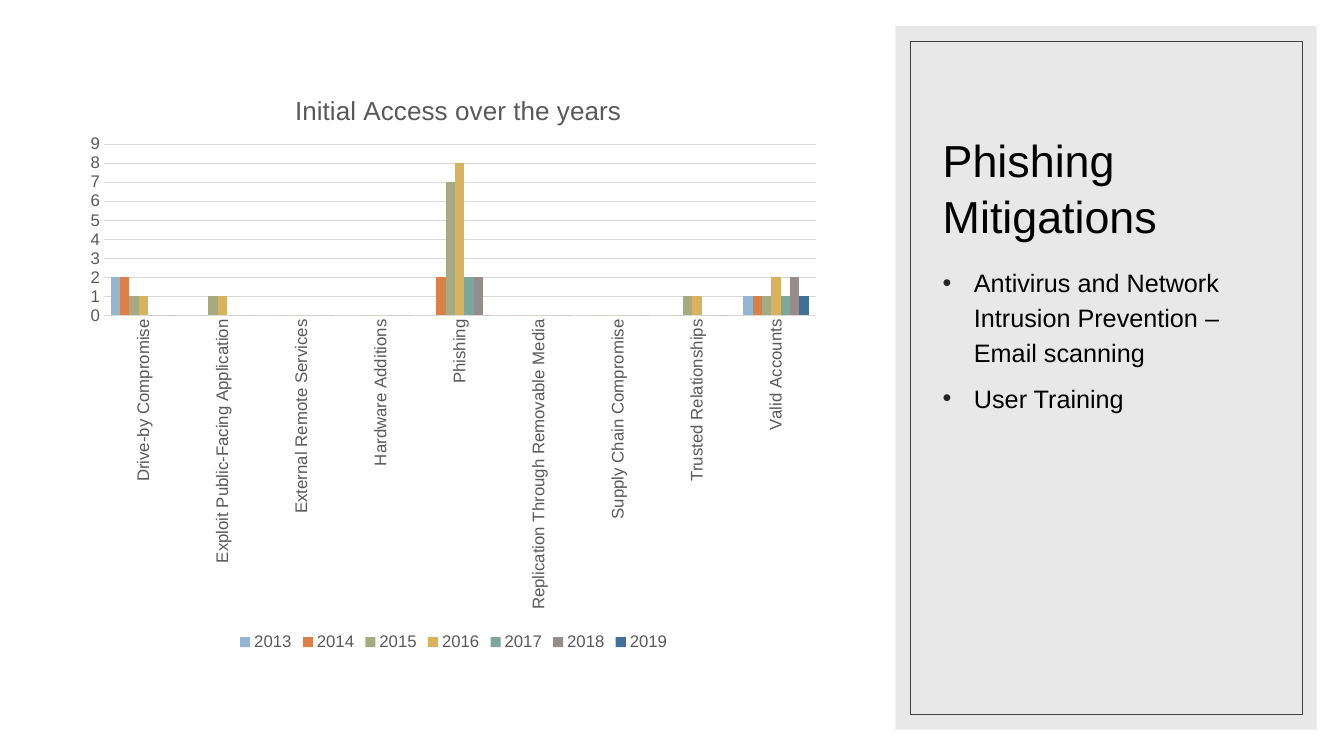
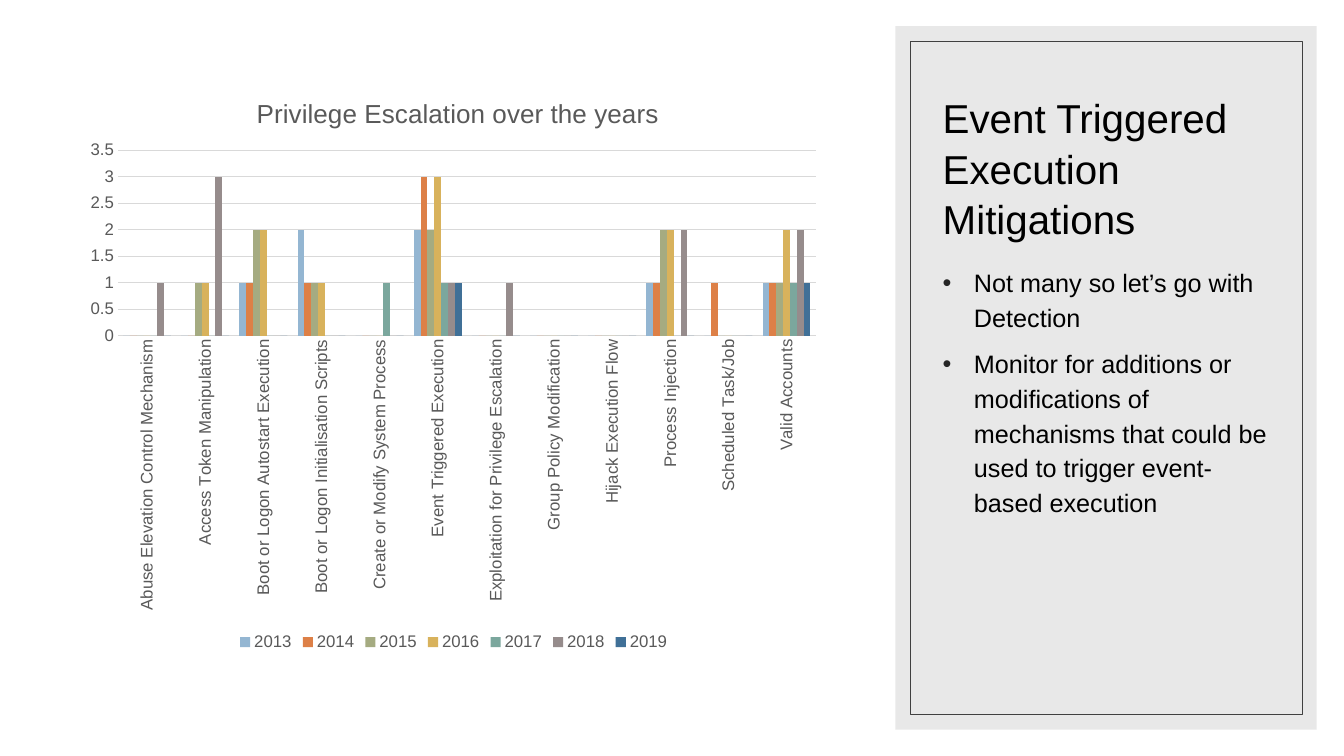
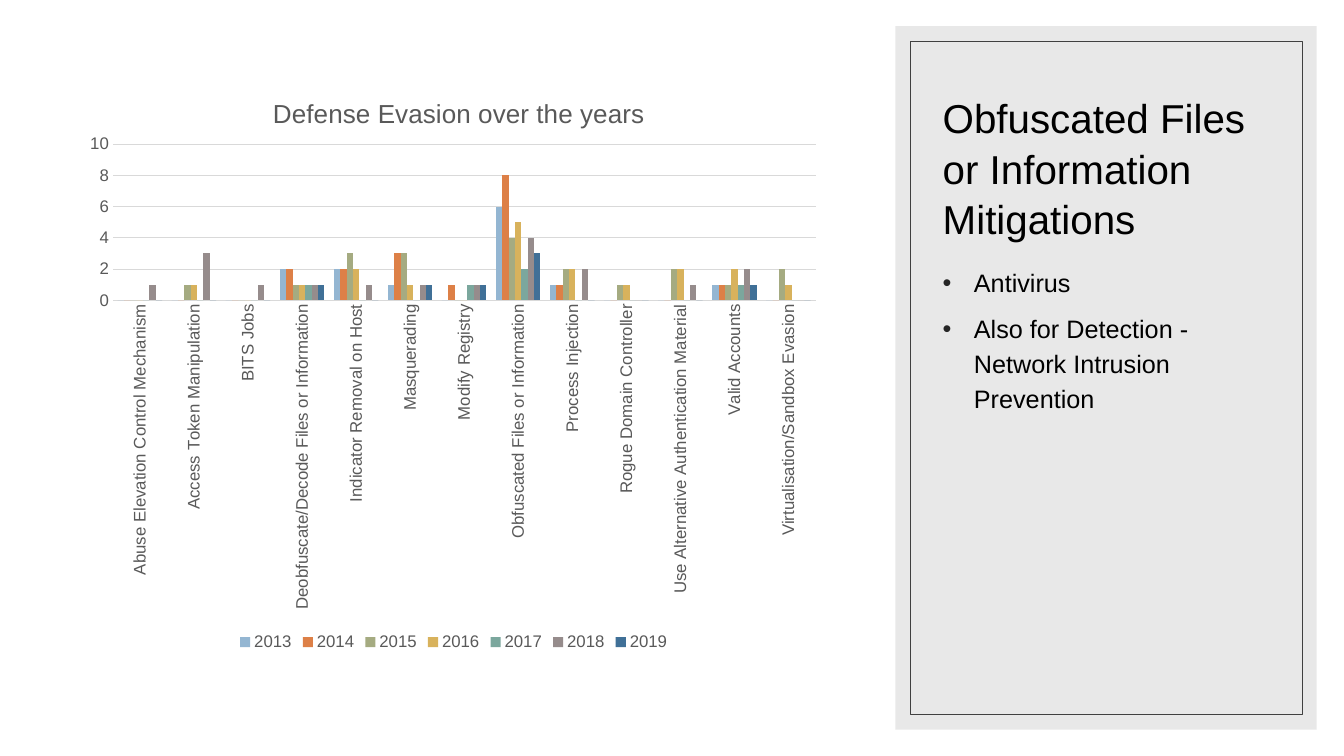
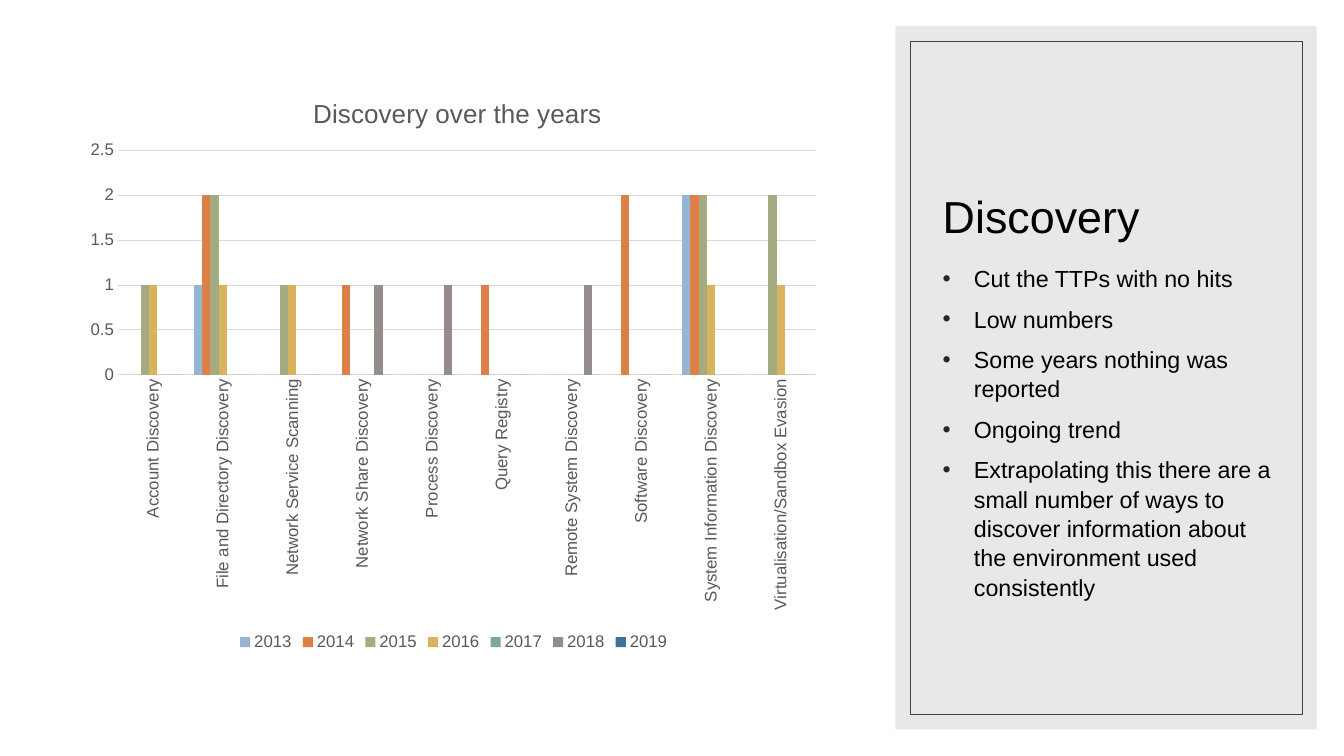
"""Build four slides pairing attack technique charts with a mitigation panel."""
from lxml import etree
from pptx import Presentation
from pptx import util as u
from pptx.chart import data
from pptx.dml.color import RGBColor
from pptx.enum import chart as ch, shapes, text
from pptx.oxml.ns import qn

PX = 9144
FONT = "Arial"
COLOURS = {"ink": "000000", "label": "595959", "panel": "D9D9D9", "frame": "404040",
           "grid": "D9D9D9", "bullet": "262626"}
YEARS = {"2013": "94B6D2", "2014": "DD8047", "2015": "A5AB81", "2016": "D8B25C",
         "2017": "7BA79D", "2018": "968C8C", "2019": "407097"}
PANEL = (888, 26, 418, 698)
FRAME = (903, 41, 389, 668)
TITLE = (925, 66, 346, 180)
BODY = (925, 256, 346, 394)
CHART = (75, 67, 750, 583)
PLOT_RIGHT = 809
LARGE = {"title_size": 32}
SMALL = {"title_size": 28.8}
ROOMY = {"body_size": 18, "spacing": 1.15}
TIGHT = {"body_size": 16.6, "spacing": 1.05}

NONE = "0000000"
TECHNIQUES = {
    "Abuse Elevation Control Mechanism": "0000010",
    "Access Token Manipulation": "0011030",
    "Account Discovery": "0011000",
    "BITS Jobs": "0000010",
    "Boot or Logon Autostart Execution": "1122000",
    "Boot or Logon Initialisation Scripts": "2111000",
    "Create or Modify System Process": "0000100",
    "Deobfuscate/Decode Files or Information": "2211111",
    "Drive-by Compromise": "2211000",
    "Event Triggered Execution": "2323111",
    "Exploit Public-Facing Application": "0011000",
    "Exploitation for Privilege Escalation": "0000010",
    "File and Directory Discovery": "1221000",
    "Indicator Removal on Host": "2232010",
    "Masquerading": "1331011",
    "Modify Registry": "0100111",
    "Network Service Scanning": "0011000",
    "Network Share Discovery": "0100010",
    "Obfuscated Files or Information": "6845243",
    "Phishing": "0278220",
    "Process Discovery": "0000010",
    "Process Injection": "1122020",
    "Query Registry": "0100000",
    "Remote System Discovery": "0000010",
    "Rogue Domain Controller": "0011000",
    "Scheduled Task/Job": "0100000",
    "Software Discovery": "0200000",
    "System Information Discovery": "2221000",
    "Trusted Relationships": "0011000",
    "Use Alternative Authentication Material": "0022010",
    "Valid Accounts": "1112121",
    "Virtualisation/Sandbox Evasion": "0021000",
}

SLIDES = [
    {"title": "Phishing Mitigations", **LARGE, **ROOMY,
     "points": ["Antivirus and Network Intrusion Prevention – Email scanning", "User Training"],
     "heading": "Initial Access over the years", "heading_at": (288, 88),
     "plot": (103, 143, 170), "scale": (9, 1),
     "techniques": ["Drive-by Compromise", "Exploit Public-Facing Application",
                    "External Remote Services", "Hardware Additions", "Phishing",
                    "Replication Through Removable Media", "Supply Chain Compromise",
                    "Trusted Relationships", "Valid Accounts"]},
    {"title": "Event Triggered Execution Mitigations", **SMALL, **ROOMY,
     "points": ["Not many so let’s go with Detection",
                "Monitor for additions or modifications of mechanisms that could be used to "
                "trigger event-based execution"],
     "heading": "Privilege Escalation over the years", "heading_at": (250, 91),
     "plot": (117, 149, 184), "scale": (3.5, 0.5),
     "techniques": ["Abuse Elevation Control Mechanism", "Access Token Manipulation",
                    "Boot or Logon Autostart Execution", "Boot or Logon Initialisation Scripts",
                    "Create or Modify System Process", "Event Triggered Execution",
                    "Exploitation for Privilege Escalation", "Group Policy Modification",
                    "Hijack Execution Flow", "Process Injection", "Scheduled Task/Job",
                    "Valid Accounts"]},
    {"title": "Obfuscated Files or Information Mitigations", **SMALL, **ROOMY,
     "points": ["Antivirus", "Also for Detection - Network Intrusion Prevention"],
     "heading": "Defense Evasion over the years", "heading_at": (266, 91),
     "plot": (112, 143, 155), "scale": (10, 2),
     "techniques": ["Abuse Elevation Control Mechanism", "Access Token Manipulation",
                    "BITS Jobs", "Deobfuscate/Decode Files or Information",
                    "Indicator Removal on Host", "Masquerading", "Modify Registry",
                    "Obfuscated Files or Information", "Process Injection",
                    "Rogue Domain Controller", "Use Alternative Authentication Material",
                    "Valid Accounts", "Virtualisation/Sandbox Evasion"]},
    {"title": "Discovery", **LARGE, **TIGHT,
     "points": ["Cut the TTPs with no hits", "Low numbers", "Some years nothing was reported",
                "Ongoing trend",
                "Extrapolating this there are a small number of ways to discover information "
                "about the environment used consistently"],
     "heading": "Discovery over the years", "heading_at": (306, 91),
     "plot": (117, 149, 223), "scale": (2.5, 0.5),
     "techniques": ["Account Discovery", "File and Directory Discovery",
                    "Network Service Scanning", "Network Share Discovery", "Process Discovery",
                    "Query Registry", "Remote System Discovery", "Software Discovery",
                    "System Information Discovery", "Virtualisation/Sandbox Evasion"]},
]


def rgb(name):
    return RGBColor.from_string(COLOURS.get(name, name))


def emu(box):
    return [length * PX for length in box]


def style(font, size, colour):
    font.name, font.size, font.bold = FONT, u.Pt(size), False
    font.color.rgb = rgb(colour)


def write(frame, lines, size, colour="ink", spacing=1.0, bullet=None, before=0):
    for index, line in enumerate(lines):
        para = frame.add_paragraph() if index else frame.paragraphs[0]
        props = para._p.get_or_add_pPr()
        if bullet:
            props.set("marL", str(31 * PX))
            props.set("indent", str(-31 * PX))
            tint = etree.SubElement(props, qn("a:buClr"))
            etree.SubElement(tint, qn("a:srgbClr"), val=COLOURS["bullet"])
            etree.SubElement(props, qn("a:buFont"), typeface=FONT)
            etree.SubElement(props, qn("a:buChar"), char=bullet)
        para.alignment = text.PP_ALIGN.LEFT
        para.line_spacing = spacing
        para.space_before = u.Pt(before if index else 0)
        run = para.add_run()
        run.text = line
        style(run.font, size, colour)


def fix_layout(parent, position, x, y, size=None):
    for old in parent.xpath("c:layout"):
        parent.remove(old)
    layout = etree.Element(qn("c:layout"))
    manual = etree.SubElement(layout, qn("c:manualLayout"))
    left, top, width, height = CHART
    values = {"xMode": "edge", "yMode": "edge",
              "x": round((x - left) / width, 4), "y": round((y - top) / height, 4)}
    if size:
        values = {"layoutTarget": "inner", **values,
                  "w": round(size[0] / width, 4), "h": round(size[1] / height, 4)}
    for tag, value in values.items():
        etree.SubElement(manual, qn("c:" + tag), val=str(value))
    parent.insert(position, layout)


def add_panel(slide, layout):
    panel = slide.shapes.add_shape(shapes.MSO_SHAPE.RECTANGLE, *emu(PANEL))
    panel.fill.solid()
    panel.fill.fore_color.rgb = rgb("panel")
    tint = panel.element.xpath("p:spPr/a:solidFill/a:srgbClr")[0]
    etree.SubElement(tint, qn("a:alpha"), val="60000")
    panel.line.fill.background()
    frame = slide.shapes.add_shape(shapes.MSO_SHAPE.RECTANGLE, *emu(FRAME))
    frame.fill.background()
    frame.line.color.rgb = rgb("frame")
    frame.line.width = u.Pt(0.5)
    first = layout.shapes[0].element
    for number, part in enumerate((panel, frame), 101):
        part.shadow.inherit = False
        part.element.xpath("p:nvSpPr/p:cNvPr")[0].set("id", str(number))
        first.addprevious(part.element)


def add_history(slide, content):
    techniques = content["techniques"]
    counts = [map(int, TECHNIQUES.get(technique, NONE)) for technique in techniques]
    history = data.CategoryChartData()
    history.categories = techniques
    for year, values in zip(YEARS, zip(*counts)):
        history.add_series(year, values)
    chart = slide.shapes.add_chart(ch.XL_CHART_TYPE.COLUMN_CLUSTERED, *emu(CHART), history).chart
    style(chart.font, 10, "ink")
    plot = chart.plots[0]
    plot.gap_width, plot.overlap, plot.vary_by_categories = 150, 0, False
    for series, colour in zip(plot.series, YEARS.values()):
        series.format.fill.solid()
        series.format.fill.fore_color.rgb = rgb(colour)
    for axis in (chart.category_axis, chart.value_axis):
        axis.major_tick_mark = axis.minor_tick_mark = ch.XL_TICK_MARK.NONE
        axis.format.line.fill.background()
        style(axis.tick_labels.font, 12, "label")
    chart.element.xpath("//c:catAx/c:txPr/a:bodyPr")[0].set("rot", "-5400000")
    scale = chart.value_axis
    scale.minimum_scale = 0
    scale.maximum_scale, scale.major_unit = content["scale"]
    scale.major_gridlines.format.line.color.rgb = rgb("grid")
    scale.major_gridlines.format.line.width = u.Pt(0.75)
    chart.has_legend = True
    chart.legend.position = ch.XL_LEGEND_POSITION.BOTTOM
    chart.legend.include_in_layout = False
    style(chart.legend.font, 12, "label")
    write(chart.chart_title.text_frame, [content["heading"]], 18.6, "label")
    fix_layout(chart.element.xpath("c:chart/c:title")[0], 1, *content["heading_at"])
    left, top, height = content["plot"]
    fix_layout(chart.element.xpath("c:chart/c:plotArea")[0], 0, left, top,
               (PLOT_RIGHT - left, height))


def main():
    deck = Presentation()
    deck.slide_width, deck.slide_height = 1333 * PX, 750 * PX
    layout = deck.slide_layouts[1]
    for holder, box in zip(layout.placeholders, (TITLE, BODY)):
        holder.left, holder.top, holder.width, holder.height = emu(box)
    for index, content in enumerate(SLIDES):
        slide = deck.slides.add_slide(layout)
        if index == 0:
            add_panel(slide, layout)
        title, body = slide.shapes.title.text_frame, slide.placeholders[1].text_frame
        for frame, anchor in ((title, text.MSO_ANCHOR.BOTTOM), (body, text.MSO_ANCHOR.TOP)):
            frame.auto_size = text.MSO_AUTO_SIZE.NONE
            frame.vertical_anchor = anchor
        write(title, [content["title"]], content["title_size"], spacing=1.05)
        write(body, content["points"], content["body_size"], spacing=content["spacing"],
              bullet="•", before=8)
        add_history(slide, content)
    deck.save("out.pptx")


if __name__ == "__main__":
    main()
